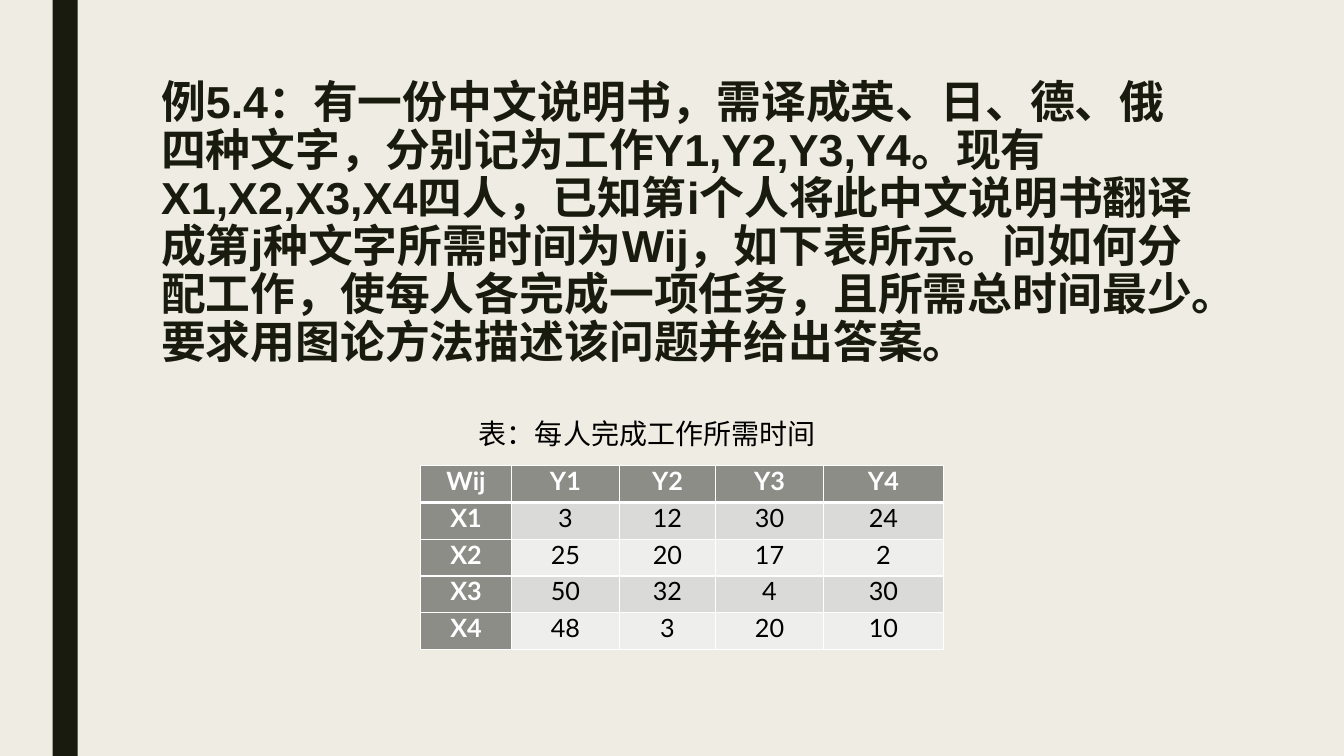
from lxml.etree import SubElement
from pptx import Presentation
from pptx.dml.color import RGBColor
from pptx.enum.lang import MSO_LANGUAGE_ID as Lang
from pptx.enum.shapes import MSO_SHAPE as Preset
from pptx.enum.text import MSO_ANCHOR as Anchor, PP_ALIGN as Align
from pptx.oxml.ns import qn
from pptx.util import Pt

COLORS = {
    "paper": "EFEDE3", "ink": "191B0E", "black": "000000", "white": "FFFFFF",
    "header": "8C8D86", "odd": "DADBD9", "even": "EEEEED",
}
PROBLEM = (
    "例5.4：有一份中文说明书，需译成英、日、德、俄四种文字，分别记为工作Y1,Y2,Y3,Y4。"
    "现有X1,X2,X3,X4四人，已知第i个人将此中文说明书翻译成第j种文字所需时间为Wij，"
    "如下表所示。问如何分配工作，使每人各完成一项任务，且所需总时间最少。"
    "要求用图论方法描述该问题并给出答案。"
)
CAPTION = "表：每人完成工作所需时间"
TIMES = [
    ["Wij", "Y1", "Y2", "Y3", "Y4"],
    ["X1", "3", "12", "30", "24"],
    ["X2", "25", "20", "17", "2"],
    ["X3", "50", "32", "4", "30"],
    ["X4", "48", "3", "20", "10"],
]
COLUMN_WIDTHS = [65, 77, 68.8, 77, 85.8]


def color(name):
    """Return the named colour."""
    return RGBColor.from_string(COLORS[name])


def add_run(paragraph, text, font, size, ink, bold=False):
    """Add one styled run."""
    run = paragraph.add_run()
    run.text = text
    run.font.name = font
    run.font.size = Pt(size)
    run.font.bold = bold
    run.font.color.rgb = color(ink)
    run.font.language_id = Lang.SIMPLIFIED_CHINESE


def add_side_bar(slide, left, top, width, height):
    """Draw the dark vertical bar."""
    bar = slide.shapes.add_shape(Preset.RECTANGLE, Pt(left), Pt(top), Pt(width), Pt(height))
    bar.shadow.inherit = False
    bar.fill.solid()
    bar.fill.fore_color.rgb = color("ink")
    bar.line.fill.background()


def add_paragraph_box(slide, left, top, width, height, text, font, size, ink,
                      bold=False, anchor=Anchor.TOP, spacing=1.0):
    """Place a wrapped text box holding one paragraph."""
    frame = slide.shapes.add_textbox(Pt(left), Pt(top), Pt(width), Pt(height)).text_frame
    frame.word_wrap = True
    frame.vertical_anchor = anchor
    paragraph = frame.paragraphs[0]
    paragraph.line_spacing = spacing
    add_run(paragraph, text, font, size, ink, bold)


def add_borders(cell, top, bottom):
    """Give a cell white borders with the given top and bottom widths."""
    properties = cell._tc.get_or_add_tcPr()
    for side, width in (("L", 1), ("R", 1), ("T", top), ("B", bottom)):
        line = SubElement(properties, qn(f"a:ln{side}"), w=str(Pt(width)))
        fill = SubElement(line, qn("a:solidFill"))
        SubElement(fill, qn("a:srgbClr"), val=COLORS["white"])


def add_time_table(slide, left, top, row_height):
    """Place the table of working times."""
    table = slide.shapes.add_table(
        len(TIMES), len(COLUMN_WIDTHS), Pt(left), Pt(top),
        Pt(sum(COLUMN_WIDTHS)), Pt(row_height * len(TIMES))).table
    for column, width in zip(table.columns, COLUMN_WIDTHS):
        column.width = Pt(width)
    for r, times in enumerate(TIMES):
        table.rows[r].height = Pt(row_height)
        for c, time in enumerate(times):
            heading = r == 0 or c == 0
            cell = table.cell(r, c)
            add_borders(cell, 3 if r == 1 else 1, 3 if r == 0 else 1)
            cell.fill.solid()
            cell.fill.fore_color.rgb = color(
                "header" if heading else "odd" if r % 2 else "even")
            cell.margin_left = cell.margin_right = Pt(5)
            cell.margin_top = cell.margin_bottom = 0
            paragraph = cell.text_frame.paragraphs[0]
            paragraph.alignment = Align.CENTER
            add_run(paragraph, time, "Lato", 18, "white" if heading else "black", heading)


def main():
    """Build and save the slide."""
    deck = Presentation()
    deck.slide_width, deck.slide_height = Pt(960), Pt(540)
    slide = deck.slides.add_slide(deck.slide_layouts[6])
    slide.background.fill.solid()
    slide.background.fill.fore_color.rgb = color("paper")
    add_side_bar(slide, 37.5, 0, 18, 540)
    add_paragraph_box(slide, 108, 54, 756, 117, PROBLEM, "Arial", 32, "ink",
                      bold=True, spacing=0.89)
    add_time_table(slide, 300.4, 332.8, 26.2)
    add_paragraph_box(slide, 335, 294, 273, 31.5, CAPTION, "Times New Roman", 20, "black",
                      anchor=Anchor.MIDDLE)
    deck.save("out.pptx")


if __name__ == "__main__":
    main()
